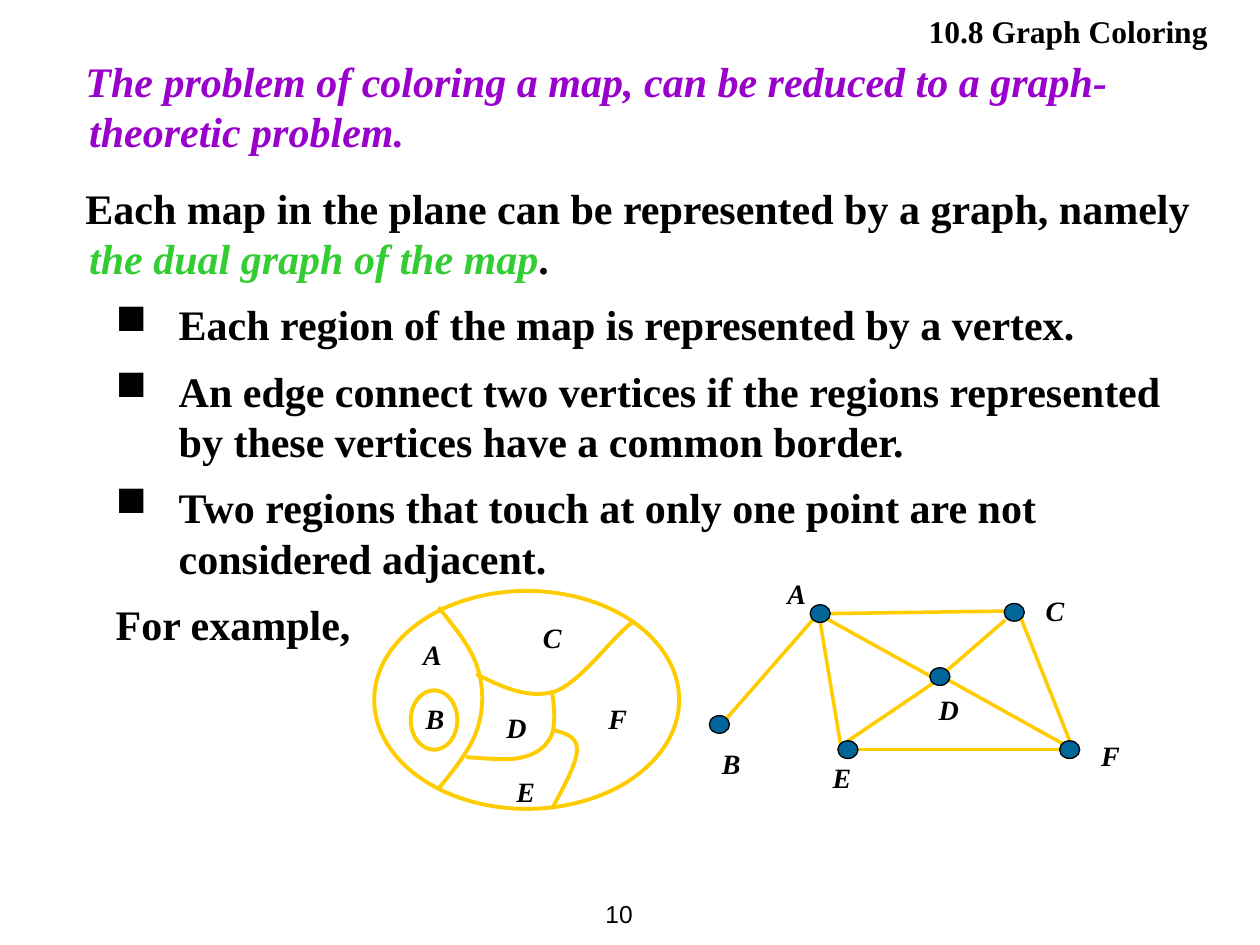
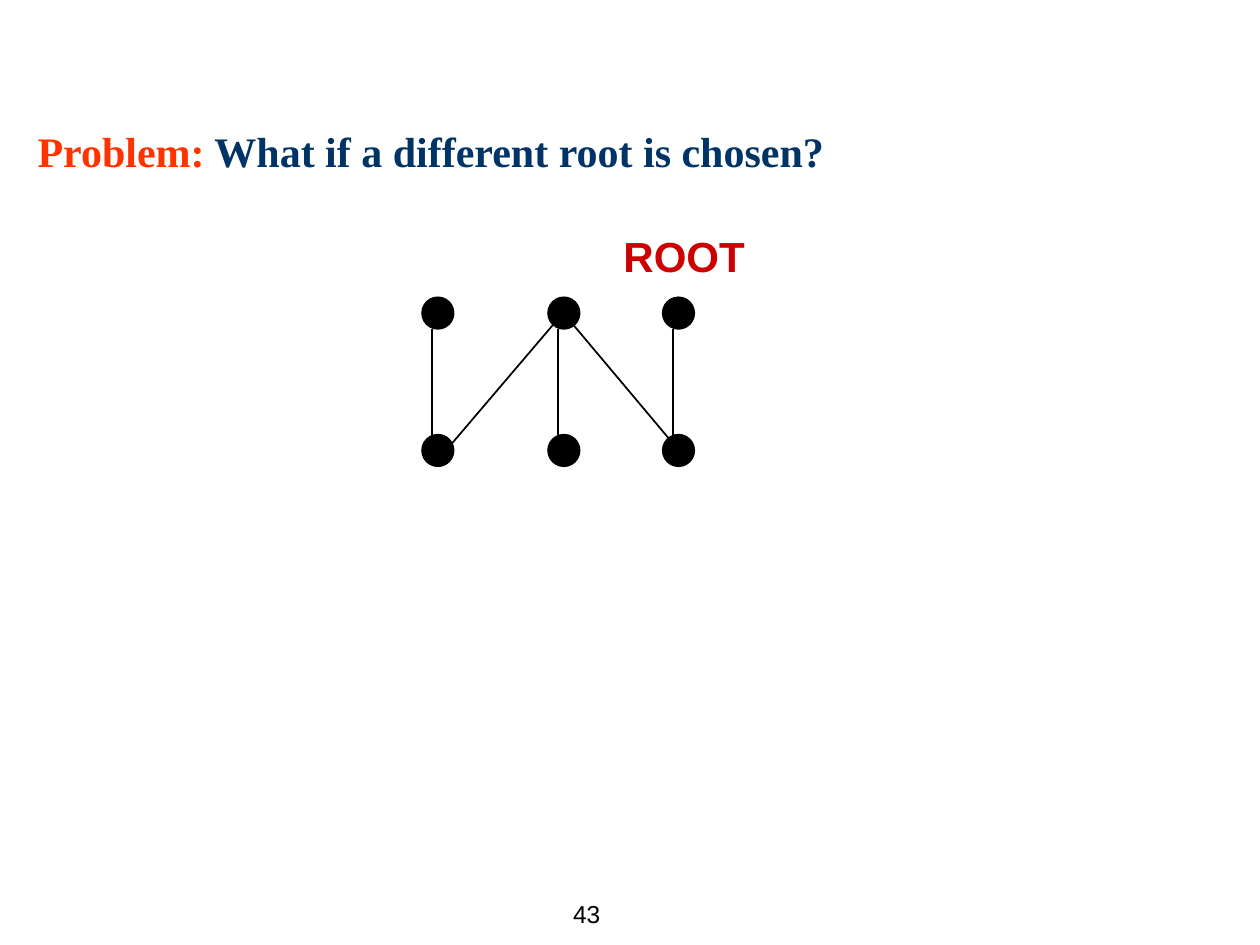
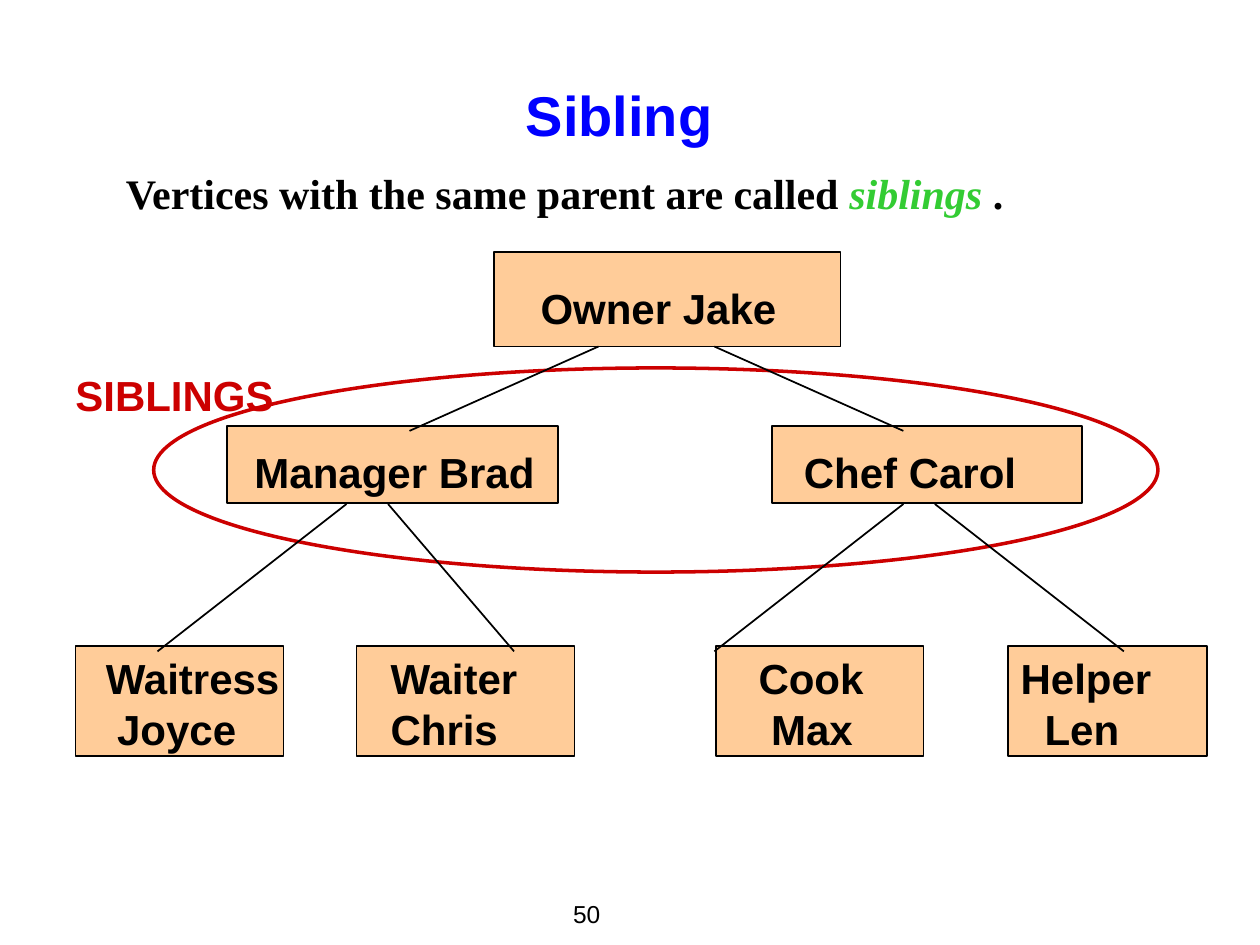
from lxml.etree import SubElement
from pptx import Presentation
from pptx.dml.color import RGBColor
from pptx.enum.shapes import MSO_CONNECTOR, MSO_SHAPE
from pptx.enum.text import MSO_ANCHOR, PP_ALIGN
from pptx.oxml.ns import qn
from pptx.util import Inches, Pt

BLACK = RGBColor(0x00, 0x00, 0x00)
PURPLE = RGBColor(0x99, 0x00, 0xCC)
GREEN = RGBColor(0x33, 0xCC, 0x33)
GOLD = RGBColor(0xFF, 0xCC, 0x00)
TEAL = RGBColor(0x00, 0x66, 0x99)
ORANGE = RGBColor(0xFF, 0x33, 0x00)
NAVY = RGBColor(0x00, 0x33, 0x66)
RED = RGBColor(0xCC, 0x00, 0x00)
BLUE = RGBColor(0x00, 0x00, 0xFF)
PEACH = RGBColor(0xFF, 0xCC, 0x99)
SERIF, SANS = "Times New Roman", "Arial"
WIDE, HIGH = 10, 7.5

HEAD = [([("10.8\tGraph Coloring", {})], {"tab": 0.69})]
LEAD = {"left": 0.53, "hang": -0.03}
ITEM = {"left": 1.24, "hang": -0.5, "before": 9}
DOT = {**ITEM, "mark": "■"}
BODY = [
    ([("The problem of coloring a map, can be reduced to a graph-theoretic problem.",
       {"tint": PURPLE, "slant": True})], LEAD),
    ([("Each map in the plane can be represented by a graph, namely ", {}),
      ("the dual graph of the map", {"tint": GREEN, "slant": True}),
      (".", {})], {**LEAD, "before": 15}),
    ([("Each region of the map is represented by a vertex.", {})], DOT),
    ([("An edge connect two vertices if the regions represented "
       "by these vertices have a common border.", {})], DOT),
    ([("Two regions that touch at only one point are not considered adjacent.", {})], DOT),
    ([("For example,", {})], ITEM),
]
RINGS = [(2.97, 4.69, 2.42, 1.73), (3.26, 5.48, 0.37, 0.47)]
CURVES = [
    [(3.48, 4.82), (3.61, 4.98), (3.74, 5.14), (3.79, 5.3), (3.84, 5.46),
     (3.84, 5.62), (3.79, 5.78), (3.74, 5.94), (3.61, 6.1), (3.48, 6.26)],
    [(3.78, 5.35), (3.98, 5.45), (4.19, 5.55), (4.4, 5.49),
     (4.61, 5.42), (4.88, 5.03), (5.02, 4.94)],
    [(3.7, 6.01), (3.87, 6.02), (4.04, 6.04), (4.15, 6.01), (4.27, 5.98),
     (4.34, 5.92), (4.38, 5.83), (4.41, 5.74), (4.4, 5.61), (4.38, 5.48)],
    [(4.38, 5.79), (4.48, 5.82), (4.58, 5.84), (4.58, 5.95),
     (4.58, 6.05), (4.48, 6.24), (4.38, 6.42)],
]
AREAS = {"C": (4.21, 4.88), "A": (3.26, 5.01), "B": (3.28, 5.52),
         "D": (3.92, 5.59), "E": (4, 6.1), "F": (4.73, 5.52)}
NAMES = {"C": (8.2, 4.66), "B": (5.63, 5.88), "D": (7.35, 5.45),
         "E": (6.51, 5.99), "F": (8.64, 5.81), "A": (6.15, 4.53)}
NODES = [(6.65, 5.88), (6.43, 4.8), (7.97, 4.79), (8.41, 5.88), (5.63, 5.68), (7.38, 5.3)]
EDGES = [
    (6.51, 4.94, 6.67, 5.9), (7.41, 5.42, 6.73, 5.88), (6.56, 4.91, 7.39, 5.37),
    (7.46, 5.36, 8.43, 5.9), (8.49, 5.88, 8.1, 4.9), (6.59, 4.87, 7.97, 4.85),
    (6.65, 5.95, 8.53, 5.95), (7.98, 4.92, 7.46, 5.37), (6.45, 4.92, 5.76, 5.71),
]

ASK = [([("Problem:", {"tint": ORANGE}),
         (" What if a different root is chosen?", {"tint": NAVY})], {})]
COLS, ROWS, BALL = (3.35, 4.35, 5.26), (2.36, 3.45), 0.25
SLANTS = [(4.51, 2.53, 5.35, 3.53), (4.43, 2.53, 3.51, 3.61)]

RULE = [([("Vertices with the same parent are called ", {}),
          ("siblings", {"tint": GREEN, "slant": True}), (" .", {})], {})]
RANKS = [
    (2, 0.75, 0.13, [(3.92, 2.75, [("Owner Jake", 0.37)])]),
    (3.38, 0.61, 0.12, [(1.8, 2.63, [("Manager Brad", 0.22)]),
                        (6.13, 2.46, [("Chef Carol", 0.25)])]),
    (5.13, 0.87, 0.03, [(0.6, 1.65, [("Waitress", 0.24), ("Joyce", 0.33)]),
                        (2.83, 1.73, [("Waiter", 0.27), ("Chris", 0.27)]),
                        (5.68, 1.65, [("Cook", 0.34), ("Max", 0.44)]),
                        (8, 1.58, [("Helper", 0.1), ("Len", 0.29)])]),
]
LINKS = [(2.75, 3.42, [(4.75, 3.25), (5.67, 7.17)]),
         (4, 5.17, [(2.75, 1.25), (7.17, 5.67), (3.08, 4.08), (7.42, 8.92)])]


def format_par(par, left=0, hang=0, before=0, mark=None, tab=None):
    props = par._p.get_or_add_pPr()
    props.set("marL", str(Inches(left)))
    props.set("indent", str(Inches(hang)))
    if mark:
        SubElement(props, qn("a:buChar"), char=mark)
    if tab:
        tabs = SubElement(props, qn("a:tabLst"))
        SubElement(tabs, qn("a:tab"), pos=str(Inches(tab)), algn="l")
    par.space_before = Pt(before)


def write(frame, text, size=24, face=SERIF, tint=BLACK, bold=True, slant=False,
          align=PP_ALIGN.LEFT, anchor=MSO_ANCHOR.TOP,
          inset=(0.1, 0.05, 0.1, 0.05), wrap=True):
    frame.word_wrap, frame.vertical_anchor = wrap, anchor
    frame.margin_left, frame.margin_top, frame.margin_right, frame.margin_bottom = map(Inches, inset)
    pars = [([(text, {})], {})] if isinstance(text, str) else text
    for i, (runs, form) in enumerate(pars):
        par = frame.add_paragraph() if i else frame.paragraphs[0]
        format_par(par, **form)
        par.alignment = align
        for words, own in runs:
            run = par.add_run()
            run.text = words
            font = run.font
            font.name, font.size, font.bold = face, Pt(size), bold
            font.italic = own.get("slant", slant)
            font.color.rgb = own.get("tint", tint)


def put(slide, box, text, **form):
    write(slide.shapes.add_textbox(*map(Inches, box)).text_frame, text, **form)


def style(shape, fill, line, width):
    shape.shadow.inherit = False
    if fill is None:
        shape.fill.background()
    else:
        shape.fill.solid()
        shape.fill.fore_color.rgb = fill
    shape.line.color.rgb = line
    shape.line.width = Pt(width)


def draw(slide, kind, box, fill=None, line=BLACK, width=1):
    shape = slide.shapes.add_shape(kind, *map(Inches, box))
    style(shape, fill, line, width)
    return shape


def join(slide, ends, line=BLACK, width=1):
    link = slide.shapes.add_connector(MSO_CONNECTOR.STRAIGHT, *map(Inches, ends))
    link.line.color.rgb = line
    link.line.width = Pt(width)
    SubElement(link._element.spPr, qn("a:effectLst"))


def bend(slide, knots, steps=12):
    dots = [knots[0]]
    for k in range(0, len(knots) - 1, 3):
        for s in range(1, steps + 1):
            t = s / steps
            parts = ((1 - t) ** 3, 3 * t * (1 - t) ** 2, 3 * t * t * (1 - t), t ** 3)
            dots.append(tuple(sum(w * p[a] for w, p in zip(parts, knots[k:k + 4])) for a in (0, 1)))
    dots = [(Inches(x), Inches(y)) for x, y in dots]
    path = slide.shapes.build_freeform(*dots[0])
    path.add_line_segments(dots[1:], close=False)
    style(path.convert_to_shape(), None, GOLD, 2.25)


def start(deck, page, align=PP_ALIGN.LEFT):
    slide = deck.slides.add_slide(deck.slide_layouts[6])
    put(slide, (4.45, 7, 0.67, 0.5), page, size=14, face=SANS, bold=False,
        align=align, anchor=MSO_ANCHOR.MIDDLE)
    return slide


def letters(slide, marks):
    for name, spot in marks.items():
        put(slide, (*spot, 0.29, 0.37), name, size=16, slant=True)


def map_slide(deck):
    slide = start(deck, "10", PP_ALIGN.RIGHT)
    put(slide, (0.08, 0.39, 9.61, 4.81), BODY)
    for ring in RINGS:
        draw(slide, MSO_SHAPE.OVAL, ring, line=GOLD, width=2.25)
    for knots in CURVES:
        bend(slide, knots)
    letters(slide, AREAS)
    for ends in EDGES:
        join(slide, ends, GOLD, 2)
    for spot in NODES:
        draw(slide, MSO_SHAPE.FLOWCHART_CONNECTOR, (*spot, 0.16, 0.14), TEAL, width=0.75)
    letters(slide, NAMES)
    put(slide, (3.98, 0.05, 5.94, 0.4), HEAD, size=18, inset=(3.39, 0.05, 0.1, 0.05))


def root_slide(deck):
    slide = start(deck, "43")
    put(slide, (0.2, 0.93, 9, 0.54), ASK, anchor=MSO_ANCHOR.MIDDLE)
    top, low = ROWS
    for x in COLS:
        for y in ROWS:
            draw(slide, MSO_SHAPE.OVAL, (x, y, BALL, BALL), BLACK)
        join(slide, (x + 0.08, top + BALL, x + 0.08, low))
    for ends in SLANTS:
        join(slide, ends)
    put(slide, (4.85, 1.78, 1.16, 0.5), "ROOT", face=SANS, tint=RED, wrap=False)


def tree_slide(deck):
    slide = start(deck, "50")
    put(slide, (0.5, 2.88, 1.78, 0.5), "SIBLINGS", face=SANS, tint=RED, wrap=False)
    draw(slide, MSO_SHAPE.OVAL, (1.22, 2.92, 7.97, 1.62), line=RED, width=2)
    for y, high, drop, cards in RANKS:
        for x, wide, lines in cards:
            card = draw(slide, MSO_SHAPE.RECTANGLE, (x, y, wide, high), PEACH)
            text = [([(words, {})], {"left": left}) for words, left in lines]
            write(card.text_frame, text, face=SANS, anchor=MSO_ANCHOR.MIDDLE,
                  inset=(0, drop, 0, 0))
    for top, low, pairs in LINKS:
        for x, end in pairs:
            join(slide, (x, top, end, low))
    put(slide, (0.9, 0.59, 8.03, 0.64), "Sibling", size=32, face=SANS, tint=BLUE,
        align=PP_ALIGN.CENTER)
    put(slide, (0.9, 1.28, 8.03, 0.5), RULE)


def main():
    deck = Presentation()
    deck.slide_width, deck.slide_height = Inches(WIDE), Inches(HIGH)
    for build in (map_slide, root_slide, tree_slide):
        build(deck)
    deck.save("out.pptx")


if __name__ == "__main__":
    main()
